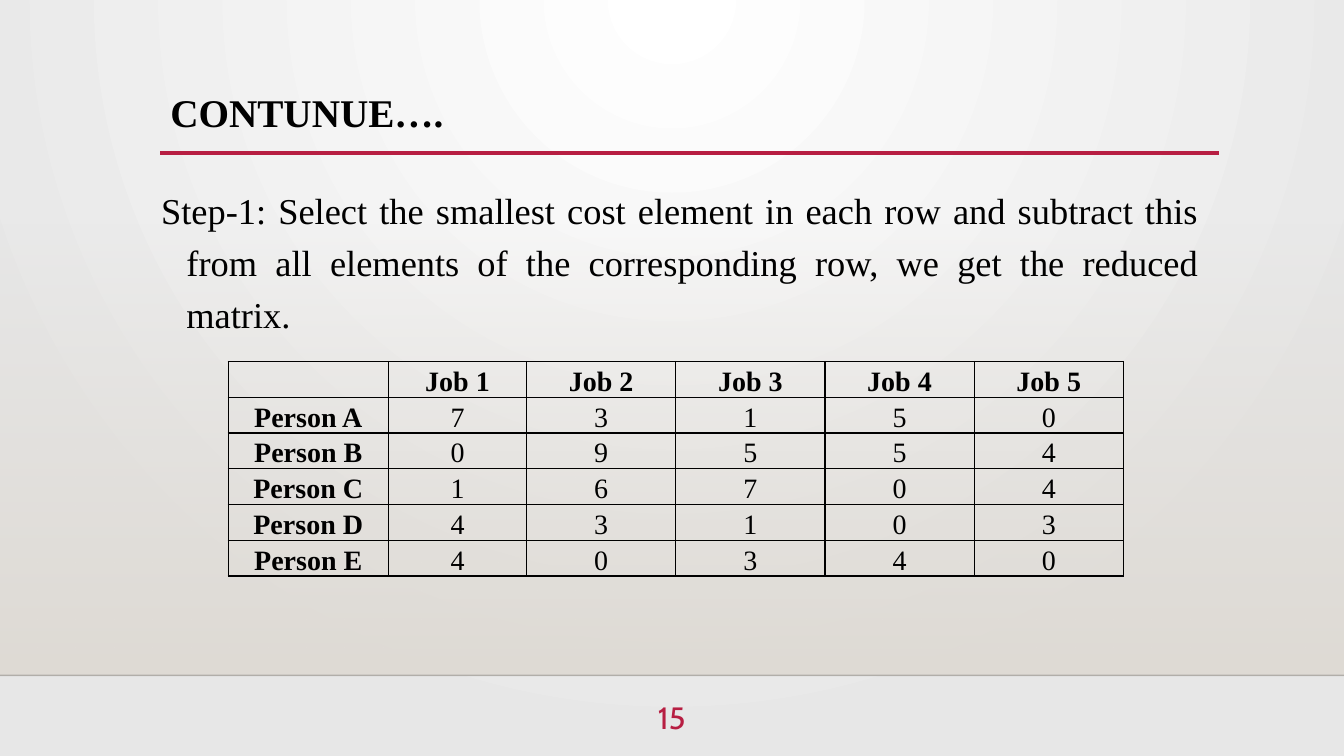
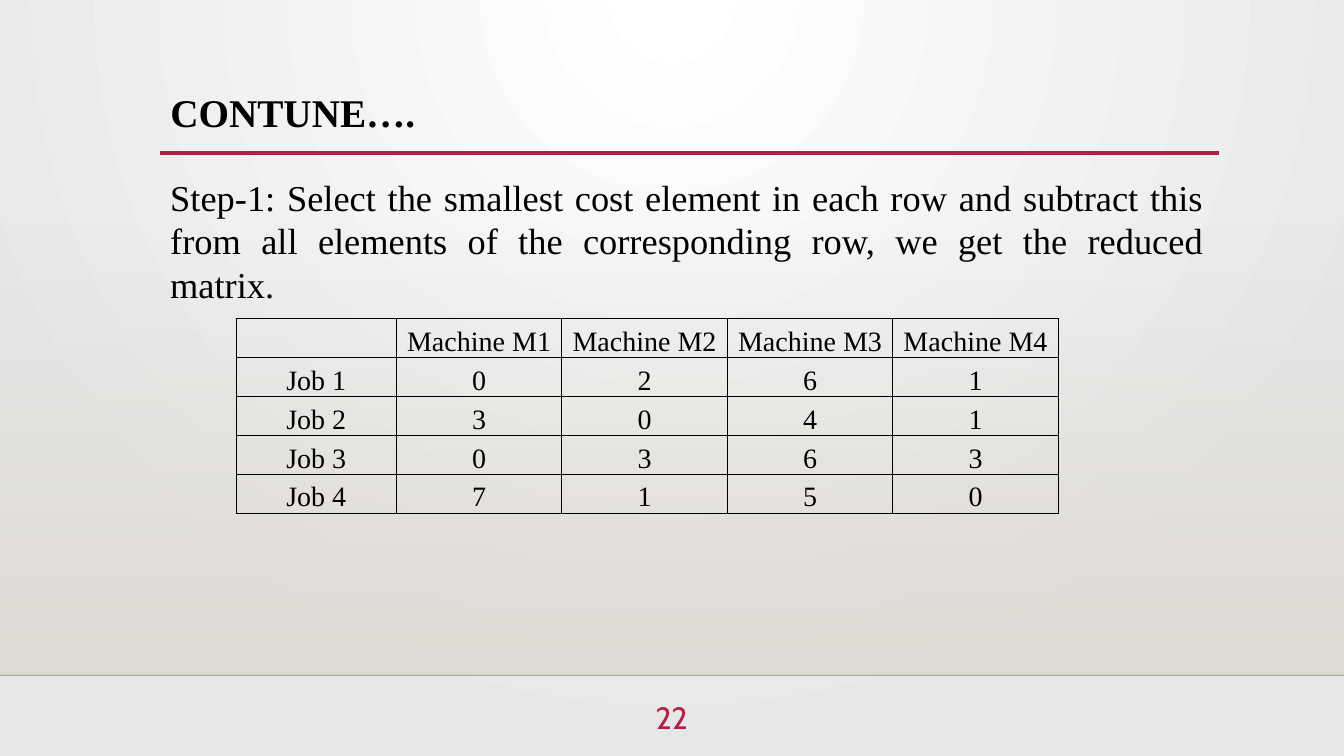
from dataclasses import dataclass

from lxml import etree
from pptx import Presentation
from pptx.dml.color import RGBColor
from pptx.enum import shapes, text
from pptx.oxml.ns import qn
from pptx.util import Cm, Pt


@dataclass(frozen=True)
class Theme:
    ink: str = "000000"
    accent: str = "B71E42"
    centre: str = "FFFFFF"
    edge: str = "E7E7E7"
    floor: str = "DFDBD5"
    footer_line: str = "000001"
    serif: str = "Times New Roman"
    sans: str = "Cabin"
    title_size: int = 28
    body_size: int = 26
    number_size: int = 22
    table_size: int = 20


THEME = Theme()
WIDTH, HEIGHT = 33.87, 19.05
FOOTER_TOP = 17.02
LEFT, CONTENT_WIDTH = 4.04, 26.67
STEP = (
    "Step-1: Select the smallest cost element in each row and subtract this "
    "from all elements of the corresponding row, we get the reduced matrix."
)


def rgb(value):
    return RGBColor.from_string(value)


def place(shape, box):
    shape.left, shape.top, shape.width, shape.height = map(Cm, box)


def style_runs(paragraph, size, color=THEME.ink, name=THEME.serif, bold=False):
    for run in paragraph.runs:
        run.font.size = Pt(size)
        run.font.name = name
        run.font.bold = bold
        run.font.color.rgb = rgb(color)


def set_alpha(color_element, percent):
    etree.SubElement(color_element, qn("a:alpha"), val=str(percent * 1000))


def set_gradient(fill, start, end):
    fill.gradient()
    for stop, color in zip(fill.gradient_stops, (start, end)):
        stop.color.rgb = rgb(color)


def set_background(master):
    set_gradient(master.background.fill, THEME.centre, THEME.edge)
    gradient = master.element.find(".//" + qn("a:gradFill"))
    gradient.remove(gradient.find(qn("a:lin")))
    circle = etree.SubElement(gradient, qn("a:path"), path="circle")
    etree.SubElement(circle, qn("a:fillToRect"), l="43000", t="0", r="43000", b="100000")


def add_rule(slide, left, top, width, color, weight):
    rule = slide.shapes.add_connector(
        shapes.MSO_CONNECTOR.STRAIGHT, Cm(left), Cm(top), Cm(left + width), Cm(top)
    )
    rule.line.color.rgb = rgb(color)
    rule.line.width = Pt(weight)
    etree.SubElement(rule.element.spPr, qn("a:effectLst"))
    return rule


def add_text(slide, box, content, alignment):
    shape = slide.shapes.add_textbox(*map(Cm, box))
    shape.text_frame.word_wrap = True
    shape.text_frame.text = content
    paragraph = shape.text_frame.paragraphs[0]
    paragraph.alignment = alignment
    return paragraph


def add_backdrop(slide):
    top = 5.61
    floor = slide.shapes.add_shape(
        shapes.MSO_SHAPE.RECTANGLE, 0, Cm(top), Cm(WIDTH), Cm(FOOTER_TOP - top)
    )
    floor.shadow.inherit = False
    floor.line.fill.background()
    set_gradient(floor.fill, THEME.floor, THEME.floor)
    floor.fill.gradient_angle = 270
    set_alpha(floor.element.spPr.find(".//" + qn("a:srgbClr")), 0)
    footer = add_rule(slide, 0, FOOTER_TOP, WIDTH, THEME.footer_line, 1)
    set_alpha(footer.element.spPr.find(".//" + qn("a:srgbClr")), 20)
    add_rule(slide, LEFT, 3.86, CONTENT_WIDTH, THEME.accent, 2.5)


def set_title(slide, content):
    title = slide.shapes.title
    place(title, (LEFT, 2.24, CONTENT_WIDTH, 1.47))
    frame = title.text_frame
    frame.text = content
    frame.auto_size = text.MSO_AUTO_SIZE.NONE
    frame.vertical_anchor = text.MSO_ANCHOR.TOP
    paragraph = frame.paragraphs[0]
    paragraph.alignment = text.PP_ALIGN.LEFT
    paragraph.line_spacing = 0.9
    style_runs(paragraph, THEME.title_size, bold=True)


def add_step(slide, box, line_points, hanging=0):
    paragraph = add_text(slide, box, STEP, text.PP_ALIGN.JUSTIFY)
    paragraph.line_spacing = Pt(line_points)
    if hanging:
        properties = paragraph._p.get_or_add_pPr()
        properties.set("marL", str(Cm(hanging)))
        properties.set("indent", str(-Cm(hanging)))
    style_runs(paragraph, THEME.body_size)


def add_number(slide, number):
    paragraph = add_text(slide, (15.8, 17.48, 2.26, 1.4), str(number), text.PP_ALIGN.CENTER)
    style_runs(paragraph, THEME.number_size, THEME.accent, THEME.sans)


def set_borders(cell):
    properties = cell._tc.get_or_add_tcPr()
    for index, side in enumerate(("lnL", "lnR", "lnT", "lnB")):
        border = etree.Element(qn("a:" + side), w=str(Pt(1)))
        fill = etree.SubElement(border, qn("a:solidFill"))
        etree.SubElement(fill, qn("a:srgbClr"), val=THEME.ink)
        properties.insert(index, border)


def add_matrix(slide, origin, widths, row_height, line_points, rows, bold_heads):
    box = (*origin, sum(widths), row_height * len(rows))
    table = slide.shapes.add_table(len(rows), len(widths), *map(Cm, box)).table
    table.first_row = table.horz_banding = False
    for column, width in zip(table.columns, widths):
        column.width = Cm(width)
    for row_index, values in enumerate(rows):
        table.rows[row_index].height = Cm(row_height)
        for column_index, value in enumerate(values):
            cell = table.cell(row_index, column_index)
            cell.margin_left = cell.margin_right = Cm(0.18)
            cell.margin_top = cell.margin_bottom = 0
            cell.vertical_anchor = text.MSO_ANCHOR.MIDDLE
            cell.fill.background()
            set_borders(cell)
            cell.text_frame.text = str(value)
            paragraph = cell.text_frame.paragraphs[0]
            paragraph.alignment = text.PP_ALIGN.CENTER
            paragraph.line_spacing = Pt(line_points)
            paragraph.font.size = Pt(THEME.table_size)
            is_head = row_index == 0 or column_index == 0
            style_runs(paragraph, THEME.table_size, bold=bold_heads and is_head)


def add_step_slide(presentation, title, number, step, matrix):
    slide = presentation.slides.add_slide(presentation.slide_layouts[5])
    add_backdrop(slide)
    set_title(slide, title)
    add_step(slide, **step)
    add_number(slide, number)
    add_matrix(slide, **matrix)


def main():
    presentation = Presentation()
    presentation.slide_width, presentation.slide_height = Cm(WIDTH), Cm(HEIGHT)
    set_background(presentation.slide_master)
    add_step_slide(
        presentation,
        "CONTUNUE….",
        15,
        step=dict(box=(3.81, 4.41, CONTENT_WIDTH, 4.47), line_points=37.1, hanging=0.64),
        matrix=dict(
            origin=(5.75, 9.11),
            widths=[4.04, 3.48] + [3.76] * 4,
            row_height=0.9,
            line_points=25.5,
            bold_heads=True,
            rows=[
                ["", *(f"Job {job}" for job in range(1, 6))],
                ["Person A", 7, 3, 1, 5, 0],
                ["Person B", 0, 9, 5, 5, 4],
                ["Person C", 1, 6, 7, 0, 4],
                ["Person D", 4, 3, 1, 0, 3],
                ["Person E", 4, 0, 3, 4, 0],
            ],
        ),
    )
    add_step_slide(
        presentation,
        "CONTUNE….",
        22,
        step=dict(box=(LEFT, 4.29, 26.57, 3.55), line_points=31.1),
        matrix=dict(
            origin=(5.95, 8.03),
            widths=[4.04] + [4.17] * 4,
            row_height=0.98,
            line_points=27.5,
            bold_heads=False,
            rows=[
                ["", *(f"Machine M{machine}" for machine in range(1, 5))],
                ["Job 1", 0, 2, 6, 1],
                ["Job 2", 3, 0, 4, 1],
                ["Job 3", 0, 3, 6, 3],
                ["Job 4", 7, 1, 5, 0],
            ],
        ),
    )
    presentation.save("out.pptx")


if __name__ == "__main__":
    main()
